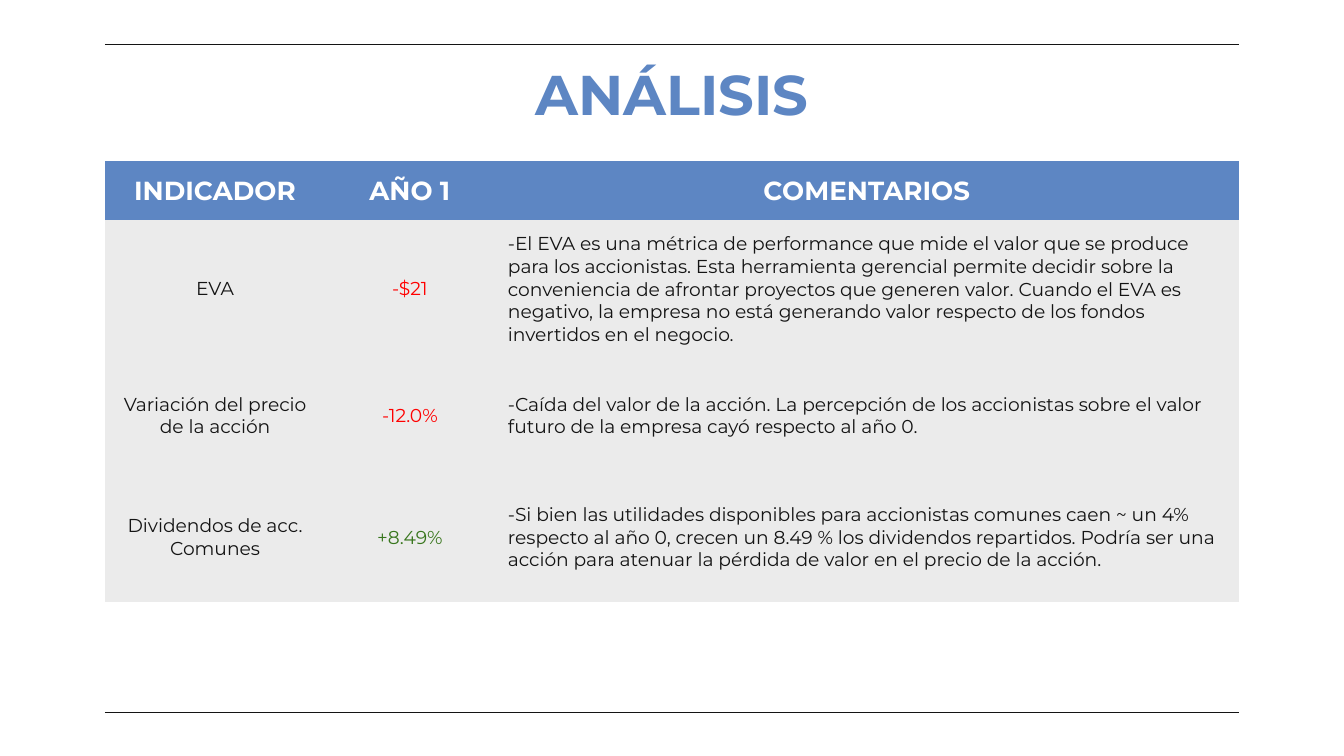
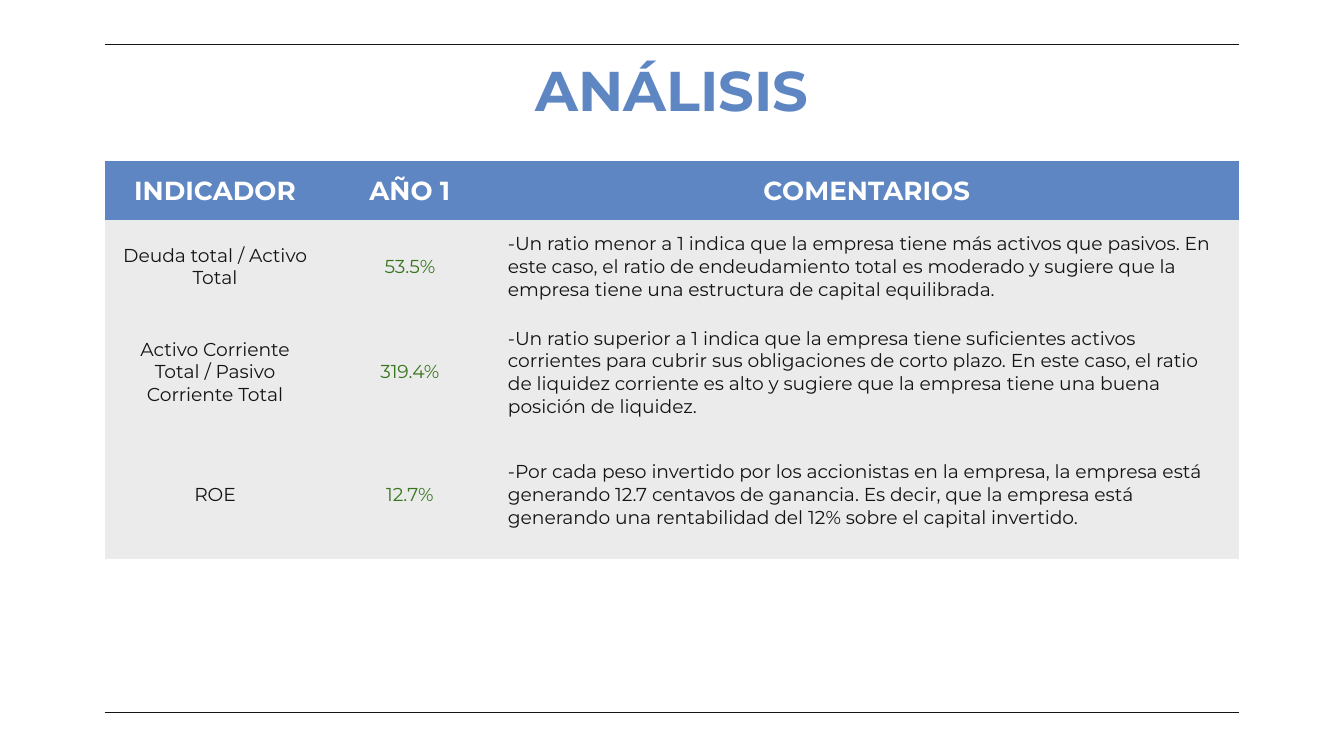
from pptx import Presentation
from pptx.dml.color import RGBColor
from pptx.enum.shapes import MSO_CONNECTOR as CONNECTOR
from pptx.enum.text import MSO_ANCHOR as ANCHOR, PP_ALIGN as ALIGN
from pptx.oxml.ns import qn
from pptx.util import Inches, Pt
from lxml.etree import SubElement

# Shared look
FONT = "Montserrat"
BLUE, INK, WHITE, GREY = "5D86C3", "141414", "FFFFFF", "EBEBEB"
RED, GREEN = "FF0000", "38761D"
NO_STYLE = "{2D5ABB26-0587-4C30-8999-92F81FD0307C}"

SLIDE_W = 10
SLIDE_H = SLIDE_W * 9 / 16
MARGIN = 0.78
CONTENT_W = SLIDE_W - 2 * MARGIN
INSET = 0.1
RULE_YS = (0.33, 5.3)
TITLE_H = 0.63
TABLE_TOP = 1.2
COLUMN_WIDTHS = (1.64, 1.26, 5.54)
ROW_HEIGHTS = (0.27, 0.33, 0.85, 0.96)
HEADINGS = ("INDICADOR", "AÑO 1", "COMENTARIOS")

# Each slide: title top and rows of (indicator, value, value colour, comment)
SLIDES = [
    (0.34, [
        ("EVA", "-$21", RED,
         "El EVA es una métrica de performance que mide el valor que se produce "
         "para los accionistas. Esta herramienta gerencial permite decidir sobre la "
         "conveniencia de afrontar proyectos que generen valor. Cuando el EVA es "
         "negativo, la empresa no está generando valor respecto de los fondos "
         "invertidos en el negocio."),
        ("Variación del precio de la acción", "-12.0%", RED,
         "Caída del valor de la acción. La percepción de los accionistas sobre el "
         "valor futuro de la empresa cayó respecto al año 0."),
        ("Dividendos de acc. Comunes", "+8.49%", GREEN,
         "Si bien las utilidades disponibles para accionistas comunes caen ~ un 4% "
         "respecto al año 0, crecen un 8.49 % los dividendos repartidos. Podría ser "
         "una acción para atenuar la pérdida de valor en el precio de la acción."),
    ]),
    (0.31, [
        ("Deuda total / Activo Total", "53.5%", GREEN,
         "Un ratio menor a 1 indica que la empresa tiene más activos que pasivos. En "
         "este caso, el ratio de endeudamiento total es moderado y sugiere que la "
         "empresa tiene una estructura de capital equilibrada."),
        ("Activo Corriente Total / Pasivo Corriente Total", "319.4%", GREEN,
         "Un ratio superior a 1 indica que la empresa tiene suficientes activos "
         "corrientes para cubrir sus obligaciones de corto plazo. En este caso, el "
         "ratio de liquidez corriente es alto y sugiere que la empresa tiene una "
         "buena posición de liquidez."),
        ("ROE", "12.7%", GREEN,
         "Por cada peso invertido por los accionistas en la empresa, la empresa está "
         "generando 12.7 centavos de ganancia. Es decir, que la empresa está "
         "generando una rentabilidad del 12% sobre el capital invertido."),
    ]),
]


def color(hex_string):
    return RGBColor.from_string(hex_string)


def write(frame, text, size=10, fill=INK, bold=False, align=ALIGN.CENTER, bullet=None):
    """Write one formatted paragraph into a text frame."""
    frame.word_wrap = True
    paragraph = frame.paragraphs[0]
    paragraph.alignment = align
    run = paragraph.add_run()
    run.text = text
    run.font.name = FONT
    run.font.size = Pt(size)
    run.font.bold = bold
    run.font.color.rgb = color(fill)
    if bullet:
        props = paragraph._p.get_or_add_pPr()
        props.set("marL", "0")
        props.set("indent", str(Inches(-0.13)))
        bullet_color = SubElement(props, qn("a:buClr"))
        SubElement(bullet_color, qn("a:srgbClr"), val=fill)
        SubElement(props, qn("a:buFont"), typeface=FONT)
        SubElement(props, qn("a:buChar"), char=bullet)


def set_insets(target):
    target.margin_left = target.margin_right = Inches(INSET)
    target.margin_top = target.margin_bottom = Inches(INSET)


def add_rules(slide, left, width):
    for y in RULE_YS:
        rule = slide.shapes.add_connector(
            CONNECTOR.STRAIGHT, Inches(left), Inches(y), Inches(left + width), Inches(y))
        rule.line.color.rgb = color(INK)
        rule.line.width = Pt(0.75)
        SubElement(rule.element.spPr, qn("a:effectLst"))


def add_title(slide, text, left, top, width, height):
    title = slide.shapes.add_textbox(
        Inches(left), Inches(top), Inches(width), Inches(height))
    set_insets(title.text_frame)
    title.text_frame.vertical_anchor = ANCHOR.TOP
    write(title.text_frame, text, size=30, fill=BLUE, bold=True)


def fill_cell(cell, text, background, **text_format):
    cell.fill.solid()
    cell.fill.fore_color.rgb = color(background)
    cell.vertical_anchor = ANCHOR.MIDDLE
    set_insets(cell)
    write(cell.text_frame, text, **text_format)


def add_indicators(slide, indicators, left, top, width):
    holder = slide.shapes.add_table(
        len(indicators) + 1, len(HEADINGS), Inches(left), Inches(top),
        Inches(width), Inches(sum(ROW_HEIGHTS)))
    for style in holder.element.iter(qn("a:tableStyleId")):
        style.text = NO_STYLE
    table = holder.table
    table.horz_banding = False
    for column, column_width in zip(table.columns, COLUMN_WIDTHS):
        column.width = Inches(column_width)
    for row, row_height in zip(table.rows, ROW_HEIGHTS):
        row.height = Inches(row_height)

    # Header row
    for col, heading in enumerate(HEADINGS):
        fill_cell(table.cell(0, col), heading, BLUE, size=14, fill=WHITE, bold=True)

    # One row for each indicator
    for row, (name, value, value_color, comment) in enumerate(indicators, start=1):
        fill_cell(table.cell(row, 0), name, GREY)
        fill_cell(table.cell(row, 1), value, GREY, fill=value_color)
        fill_cell(table.cell(row, 2), comment, GREY, align=ALIGN.LEFT, bullet="-")


def add_analysis_slide(prs, title_top, indicators):
    slide = prs.slides.add_slide(prs.slide_layouts[6])
    slide.background.fill.solid()
    slide.background.fill.fore_color.rgb = color(WHITE)
    add_rules(slide, MARGIN, CONTENT_W)
    add_title(slide, "ANÁLISIS", MARGIN, title_top, CONTENT_W, TITLE_H)
    add_indicators(slide, indicators, MARGIN, TABLE_TOP, CONTENT_W)


def main():
    prs = Presentation()
    prs.slide_width = Inches(SLIDE_W)
    prs.slide_height = Inches(SLIDE_H)
    for title_top, indicators in SLIDES:
        add_analysis_slide(prs, title_top, indicators)
    prs.save("out.pptx")


if __name__ == "__main__":
    main()
